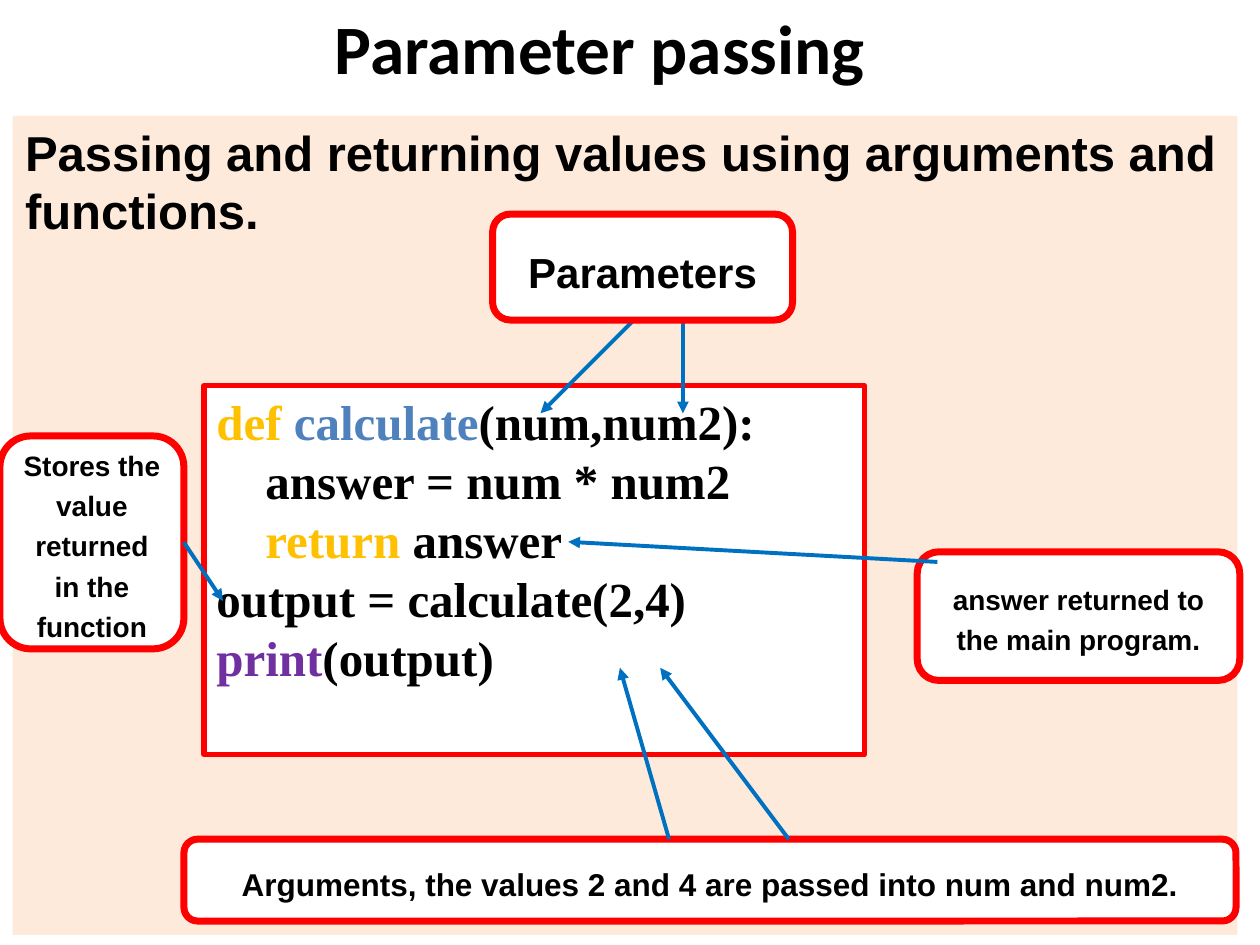
from dataclasses import dataclass

from lxml.etree import SubElement
from pptx import Presentation
from pptx.dml.color import RGBColor
from pptx.enum.shapes import MSO_CONNECTOR, MSO_SHAPE
from pptx.enum.text import MSO_ANCHOR, PP_ALIGN
from pptx.oxml.ns import qn
from pptx.util import Inches, Pt


@dataclass(frozen=True)
class Theme:
    """Colours, fonts and type sizes of the slide."""
    ink: str = "000000"
    paper: str = "FFFFFF"
    panel: str = "FDEADA"
    border: str = "FF0000"
    arrow: str = "0070C0"
    keyword: str = "FFC000"
    function: str = "4F81BD"
    builtin: str = "7030A0"
    title_font: str = "Calibri"
    body_font: str = "Arial"
    code_font: str = "Times New Roman"
    title_size: float = 39.6
    body_size: float = 28
    label_size: float = 24
    note_size: float = 18
    side_size: float = 16
    code_border: float = 3
    callout_border: float = 4
    arrow_width: float = 2.25


class SlideBuilder:
    """Draws styled elements on the current slide."""

    def __init__(self, page, theme):
        """Keep the slide and its style."""
        self.page = page
        self.theme = theme

    def add_span(self, para, text, size, font, color=None):
        """Add one bold run to a paragraph."""
        span = para.add_run()
        span.text = text
        span.font.size = Pt(size)
        span.font.name = font
        span.font.bold = True
        span.font.color.rgb = RGBColor.from_string(color or self.theme.ink)

    def title(self, text, left, top, width, height):
        """Place and fill the title placeholder."""
        box = self.page.shapes.title
        box.left, box.top = Inches(left), Inches(top)
        box.width, box.height = Inches(width), Inches(height)
        box.text_frame.vertical_anchor = MSO_ANCHOR.MIDDLE
        para = box.text_frame.paragraphs[0]
        para.alignment = PP_ALIGN.CENTER
        self.add_span(para, text, self.theme.title_size, self.theme.title_font)

    def box(self, kind, place, fill, border=None):
        """Add a filled shape, with a border where a width is given."""
        box = self.page.shapes.add_shape(kind, *map(Inches, place))
        box.shadow.inherit = False
        box.fill.solid()
        box.fill.fore_color.rgb = RGBColor.from_string(fill)
        if border:
            box.line.color.rgb = RGBColor.from_string(self.theme.border)
            box.line.width = Pt(border)
        else:
            box.line.fill.background()
        box.text_frame.word_wrap = True
        box.text_frame.vertical_anchor = MSO_ANCHOR.TOP
        box.text_frame.paragraphs[0].alignment = PP_ALIGN.LEFT
        return box

    def panel(self, text, *place):
        """Add the tinted panel with its statement."""
        box = self.box(MSO_SHAPE.RECTANGLE, place, self.theme.panel)
        para = box.text_frame.paragraphs[0]
        self.add_span(para, text, self.theme.body_size, self.theme.body_font)

    def code(self, lines, *place):
        """Add the program listing, one paragraph a line."""
        theme = self.theme
        box = self.box(MSO_SHAPE.RECTANGLE, place, theme.paper, theme.code_border)
        frame = box.text_frame
        for number, line in enumerate(lines):
            para = frame.add_paragraph() if number else frame.paragraphs[0]
            para.alignment = PP_ALIGN.LEFT
            for text, color in line:
                self.add_span(para, text, theme.body_size, theme.code_font, color)

    def callout(self, text, size, *place):
        """Add a rounded box with centred text."""
        theme = self.theme
        box = self.box(MSO_SHAPE.ROUNDED_RECTANGLE, place, theme.paper, theme.callout_border)
        box.text_frame.vertical_anchor = MSO_ANCHOR.MIDDLE
        para = box.text_frame.paragraphs[0]
        para.alignment = PP_ALIGN.CENTER
        para.line_spacing = 1.2
        self.add_span(para, text, size, theme.body_font)
        return box

    def arrow(self, *ends):
        """Add a straight arrow from the first point to the second."""
        line = self.page.shapes.add_connector(MSO_CONNECTOR.STRAIGHT, *map(Inches, ends))
        line.line.color.rgb = RGBColor.from_string(self.theme.arrow)
        line.line.width = Pt(self.theme.arrow_width)
        properties = line._element.spPr
        SubElement(properties.find(qn("a:ln")), qn("a:tailEnd"), type="triangle")
        SubElement(properties, qn("a:effectLst"))
        return line


def main():
    """Build and save the deck."""
    deck = Presentation()
    deck.slide_width, deck.slide_height = Inches(10), Inches(7.5)
    theme = Theme()
    slide = SlideBuilder(deck.slides.add_slide(deck.slide_layouts[5]), theme)

    slide.title("Parameter passing", 0.45, 0, 8.62, 0.75)
    slide.panel("Passing and returning values using arguments and functions.",
                0.1, 0.92, 9.72, 6.5)
    slide.code([
        [("def ", theme.keyword), ("calculate", theme.function), ("(num,num2):", theme.ink)],
        [("    answer = num * num2", theme.ink)],
        [("    return ", theme.keyword), ("answer", theme.ink)],
        [("output = calculate(2,4)", theme.ink)],
        [("print", theme.builtin), ("(output)", theme.ink)],
    ], 1.62, 3.06, 5.24, 2.93)

    slide.arrow(5.02, 2.55, 4.29, 3.28)
    slide.arrow(5.42, 2.49, 5.42, 3.28)
    slide.callout("Parameters", theme.label_size, 3.91, 1.7, 2.38, 0.84)

    slide.callout("Arguments, the values 2 and 4 are passed into num and num2.",
                  theme.note_size, 1.46, 6.66, 8.35, 0.65)
    slide.arrow(6.26, 6.66, 5.24, 5.3)
    slide.arrow(5.31, 6.66, 4.92, 5.3)

    slide.callout("answer returned to the main program.",
                  theme.side_size, 7.28, 4.38, 2.56, 1.02)
    slide.arrow(7.44, 4.46, 4.51, 4.3)

    storage = slide.callout("Stores the value returned in the function",
                            theme.side_size, 0, 3.46, 1.46, 1.69)
    slide.arrow(1.46, 4.3, 1.77, 4.77).begin_connect(storage, 3)

    deck.save("out.pptx")


if __name__ == "__main__":
    main()
